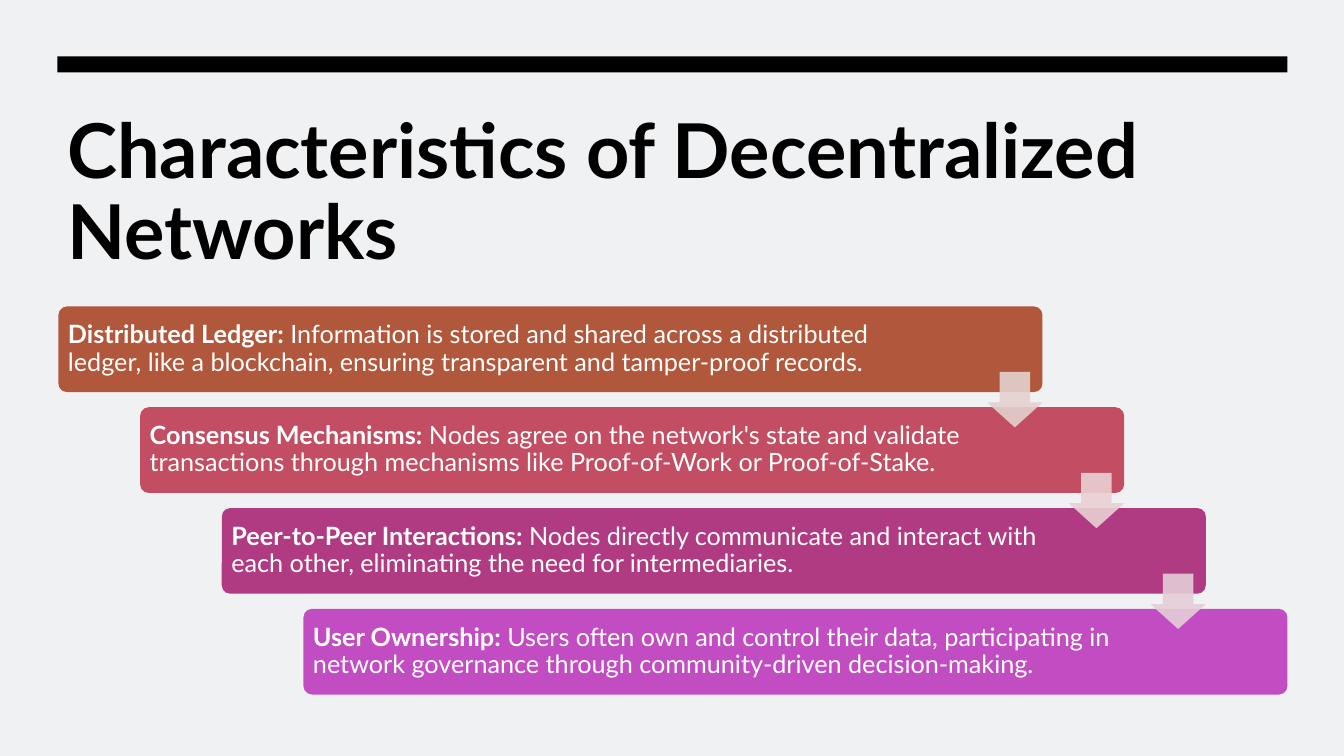
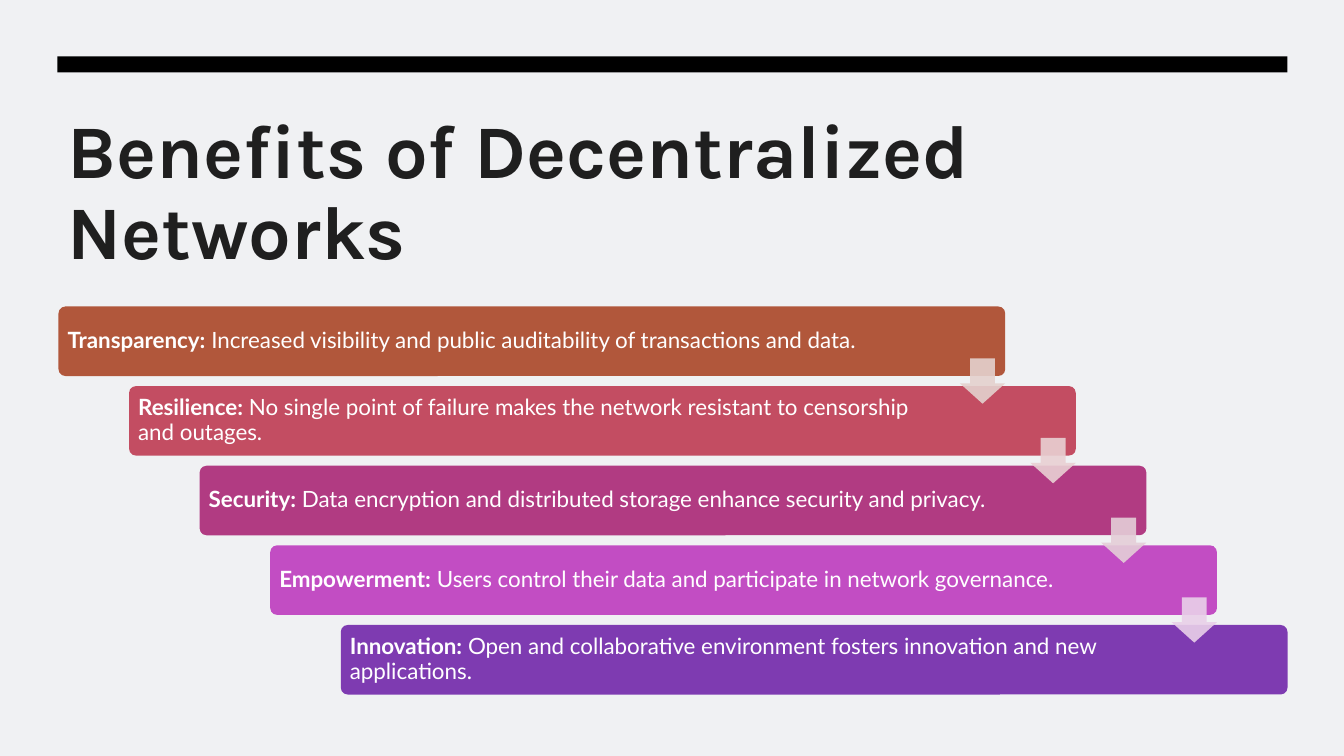
from lxml import etree
from pptx import Presentation
from pptx.dml.color import RGBColor
from pptx.enum.shapes import MSO_SHAPE as Preset
from pptx.enum.text import MSO_ANCHOR as Anchor, PP_ALIGN as Align
from pptx.oxml.ns import qn
from pptx.util import Inches, Pt

COLORS = {
    "paper": "F0F1F3", "black": "000000", "charcoal": "1F1F1F", "white": "FFFFFF",
    "rust": "B1573B", "rose": "C34D62", "plum": "B13B82",
    "orchid": "C24DC3", "violet": "7E3BB1",
    "rust tint": "E4D1CE", "rose tint": "E9D0D3",
    "plum tint": "E4CED8", "orchid tint": "E9D0E9",
}
BAR_COLORS = ["rust", "rose", "plum", "orchid", "violet"]
LEFT, WIDTH = 0.57, 12.2
STEPS_LEFT, STEPS_TOP = 0.58, 3.04
INSET = 0.07

slides = [
    {
        "title": "Characteristics of Decentralized Networks",
        "font": "Lato", "color": "black", "size": 18,
        "bar": (9.76, 0.85), "step": (0.81, 1.0), "arrow": 0.55, "right_inset": 1.45,
        "steps": [
            ("Distributed Ledger:", " Information is stored and shared across a distributed "
             "ledger, like a blockchain, ensuring transparent and tamper-proof records."),
            ("Consensus Mechanisms:", " Nodes agree on the network's state and validate "
             "transactions through mechanisms like Proof-of-Work or Proof-of-Stake."),
            ("Peer-to-Peer Interactions:", " Nodes directly communicate and interact with "
             "each other, eliminating the need for intermediaries."),
            ("User Ownership:", " Users often own and control their data, participating in "
             "network governance through community-driven decision-making."),
        ],
    },
    {
        "title": "Benefits of Decentralized Networks",
        "font": "Karla", "color": "charcoal", "size": 16,
        "bar": (9.39, 0.69), "step": (0.7, 0.79), "arrow": 0.45, "right_inset": 1.22,
        "steps": [
            ("Transparency:", " Increased visibility and public auditability of "
             "transactions and data."),
            ("Resilience:", " No single point of failure makes the network resistant to "
             "censorship and outages."),
            ("Security:", " Data encryption and distributed storage enhance security "
             "and privacy."),
            ("Empowerment:", " Users control their data and participate in network "
             "governance."),
            ("Innovation:", " Open and collaborative environment fosters innovation and "
             "new applications."),
        ],
    },
]


def add_block(slide, preset, left, top, width, height, color):
    """Add a flat preset shape without outline or shadow."""
    block = slide.shapes.add_shape(
        preset, Inches(left), Inches(top), Inches(width), Inches(height))
    block.shadow.inherit = False
    block.fill.solid()
    block.fill.fore_color.rgb = RGBColor.from_string(COLORS[color])
    block.line.fill.background()
    return block


def add_run(paragraph, text, font, size, color, bold):
    run = paragraph.add_run()
    run.text = text
    run.font.name = font
    run.font.size = Pt(size)
    run.font.bold = bold
    run.font.color.rgb = RGBColor.from_string(COLORS[color])


prs = Presentation()
prs.slide_width, prs.slide_height = Inches(13.33), Inches(7.5)

for content in slides:
    slide = prs.slides.add_slide(prs.slide_layouts[6])
    slide.background.fill.solid()
    slide.background.fill.fore_color.rgb = RGBColor.from_string(COLORS["paper"])

    # Title under the black band
    title = slide.shapes.add_textbox(
        Inches(LEFT), Inches(1.07), Inches(WIDTH), Inches(1.79)).text_frame
    title.word_wrap = True
    title.paragraphs[0].line_spacing = 0.9
    add_run(title.paragraphs[0], content["title"], content["font"], 54,
            content["color"], True)
    add_block(slide, Preset.RECTANGLE, LEFT, 0.56, WIDTH, 0.16, "black")

    # Staircase of bars
    bar_width, bar_height = content["bar"]
    step_x, step_y = content["step"]
    for i, (term, explanation) in enumerate(content["steps"]):
        bar = add_block(slide, Preset.ROUNDED_RECTANGLE, STEPS_LEFT + i * step_x,
                        STEPS_TOP + i * step_y, bar_width, bar_height, BAR_COLORS[i])
        bar.adjustments[0] = 0.1
        frame = bar.text_frame
        frame.word_wrap = True
        frame.vertical_anchor = Anchor.MIDDLE
        frame.margin_left = frame.margin_top = frame.margin_bottom = Inches(INSET)
        frame.margin_right = Inches(content["right_inset"])
        paragraph = frame.paragraphs[0]
        paragraph.alignment = Align.LEFT
        paragraph.line_spacing = 0.9
        add_run(paragraph, term, "Lato", content["size"], "white", True)
        add_run(paragraph, explanation, "Lato", content["size"], "white", False)

    # Arrows, each centred on the gap below a bar and flush with its right end
    size = content["arrow"]
    for i in range(len(content["steps"]) - 1):
        arrow_left = STEPS_LEFT + i * step_x + bar_width - size
        arrow_top = STEPS_TOP + i * step_y + (bar_height + step_y - size) / 2
        arrow = add_block(slide, Preset.DOWN_ARROW, arrow_left, arrow_top, size, size,
                          BAR_COLORS[i] + " tint")
        arrow.adjustments[0] = 0.55
        arrow.adjustments[1] = 0.45
        tint = arrow.fill._xPr.find(qn("a:solidFill"))[0]
        etree.SubElement(tint, qn("a:alpha")).set("val", "90000")

prs.save("out.pptx")
